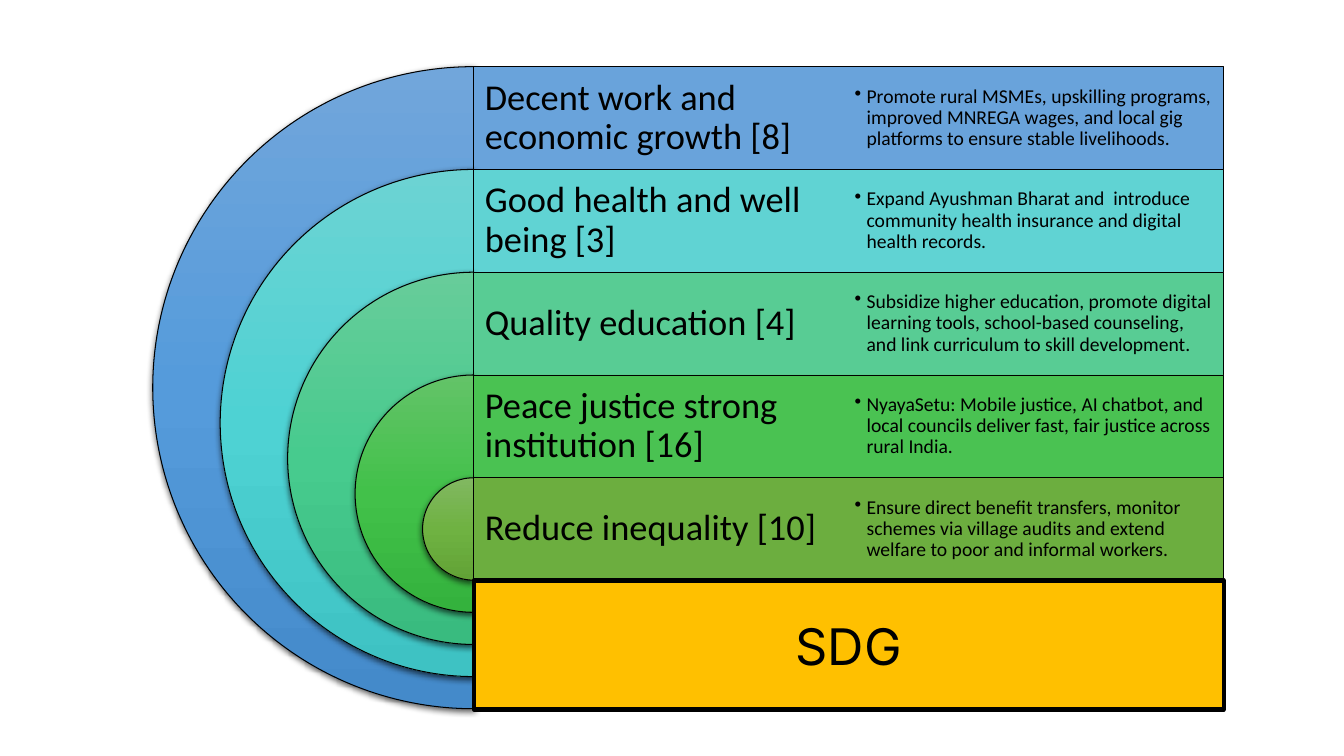
"""Build a slide of five nested Sustainable Development Goals with one action each."""
import copy

import pptx
import pptx.dml.color
import pptx.enum.shapes
import pptx.enum.text
import pptx.oxml
import pptx.oxml.ns
import pptx.util
from pptx.util import Cm, Pt

COLORS = {
    "ink": "000000",
    "sdg": "FFC000",
    "work": ("71A6DB", "559BDB", "448ACA", "69A3DB"),
    "health": ("6CD3D3", "4ED2D3", "3EC2C3", "60D3D3"),
    "education": ("67CC9A", "47CB8E", "39BB7F", "58CC94"),
    "justice": ("63C368", "42C14A", "34B23D", "4AC252"),
    "equality": ("81B861", "6FB242", "62A336", "6CAE3F"),
}
GOALS = [
    ("work", "Decent work and economic growth [8]",
     "Promote rural MSMEs, upskilling programs, improved MNREGA wages, and local gig "
     "platforms to ensure stable livelihoods."),
    ("health", "Good health and well being [3]",
     "Expand Ayushman Bharat and  introduce community health insurance and digital "
     "health records."),
    ("education", "Quality education [4]",
     "Subsidize higher education, promote digital learning tools, school-based "
     "counseling, and link curriculum to skill development."),
    ("justice", "Peace justice strong institution [16]",
     "NyayaSetu: Mobile justice, AI chatbot, and local councils deliver fast, fair "
     "justice across rural India."),
    ("equality", "Reduce inequality [10]",
     "Ensure direct benefit transfers, monitor schemes via village audits and extend "
     "welfare to poor and informal workers."),
]
TOP, LEFT, ROW, COLUMN = 1.68, 11.94, 2.59, 9.45
OUTER, STEP = 16.18, 3.4
NS = pptx.oxml.ns.nsdecls("a")
SHADOW = (f'<a:outerShdw {NS} blurRad="57150" dist="19050" dir="5400000" algn="ctr" '
          f'rotWithShape="0"><a:srgbClr val="{COLORS["ink"]}"><a:alpha val="63000"/>'
          '</a:srgbClr></a:outerShdw>')
rgb = pptx.dml.color.RGBColor.from_string
SHAPES = pptx.enum.shapes.MSO_SHAPE
MIDDLE = pptx.enum.text.MSO_ANCHOR.MIDDLE

deck = pptx.Presentation()
deck.slide_width, deck.slide_height = Cm(33.87), Cm(19.05)
slide = deck.slides.add_slide(deck.slide_layouts[6])


def add_outlined(kind, left, top, width, height, line_width):
    """Add a preset shape with a dark outline and no shadow."""
    shape = slide.shapes.add_shape(kind, Cm(left), Cm(top), Cm(width), Cm(height))
    shape.shadow.inherit = False
    shape.line.color.rgb = rgb(COLORS["ink"])
    shape.line.width = Pt(line_width)
    return shape


def add_label(left, top, inset, size, wording):
    """Add a vertically centred text box over one row and return its paragraph."""
    box = slide.shapes.add_textbox(Cm(left), Cm(top), Cm(COLUMN), Cm(ROW))
    frame = box.text_frame
    frame.word_wrap = True
    frame.vertical_anchor = MIDDLE
    frame.margin_left = frame.margin_right = Cm(inset)
    frame.margin_top = frame.margin_bottom = Cm(inset)
    paragraph = frame.paragraphs[0]
    paragraph.line_spacing = 0.9
    run = paragraph.add_run()
    run.text = wording
    run.font.size = Pt(size)
    run.font.name = "Calibri"
    run.font.color.rgb = rgb(COLORS["ink"])
    return paragraph


for index, (key, goal, action) in enumerate(GOALS):
    top = TOP + index * ROW
    diameter = OUTER - index * STEP
    *shades, band_color = COLORS[key]

    arc = add_outlined(SHAPES.PIE, LEFT - diameter / 2, top, diameter, diameter, 0.75)
    arc.adjustments[0], arc.adjustments[1] = 54, 162
    arc.fill.gradient()
    arc.fill.gradient_angle = 270
    stop_list = arc.element.spPr.find(".//" + pptx.oxml.ns.qn("a:gsLst"))
    stop_list.insert(1, copy.deepcopy(stop_list[0]))
    for stop, shade, position in zip(arc.fill.gradient_stops, shades, (0, 0.5, 1)):
        stop.color.rgb = rgb(shade)
        stop.position = position
    effects = arc.element.spPr.find(pptx.oxml.ns.qn("a:effectLst"))
    effects.append(pptx.oxml.parse_xml(SHADOW))

    band = add_outlined(SHAPES.RECTANGLE, LEFT, top, 2 * COLUMN, diameter, 0.5)
    band.fill.solid()
    band.fill.fore_color.rgb = rgb(band_color)

    add_label(LEFT, top, 0.28, 26, goal)
    bullet = add_label(LEFT + COLUMN, top, 0.15, 14, action)
    bullet.level = 1
    properties = bullet._p.get_or_add_pPr()
    properties.set("marL", str(Cm(0.3)))
    properties.set("indent", str(-Cm(0.3)))
    properties.append(pptx.oxml.parse_xml(f'<a:buChar {NS} char="•"/>'))

sdg = add_outlined(SHAPES.RECTANGLE, LEFT, TOP + len(GOALS) * ROW, 2 * COLUMN, 3.25, 3)
sdg.fill.solid()
sdg.fill.fore_color.rgb = rgb(COLORS["sdg"])
sdg.text_frame.vertical_anchor = MIDDLE
sdg_line = sdg.text_frame.paragraphs[0]
sdg_line.alignment = pptx.enum.text.PP_ALIGN.CENTER
sdg_run = sdg_line.add_run()
sdg_run.text = "SDG"
sdg_run.font.size = Pt(36)
sdg_run.font.name = "Inter"
sdg_run.font.color.rgb = rgb(COLORS["ink"])

deck.save("out.pptx")
